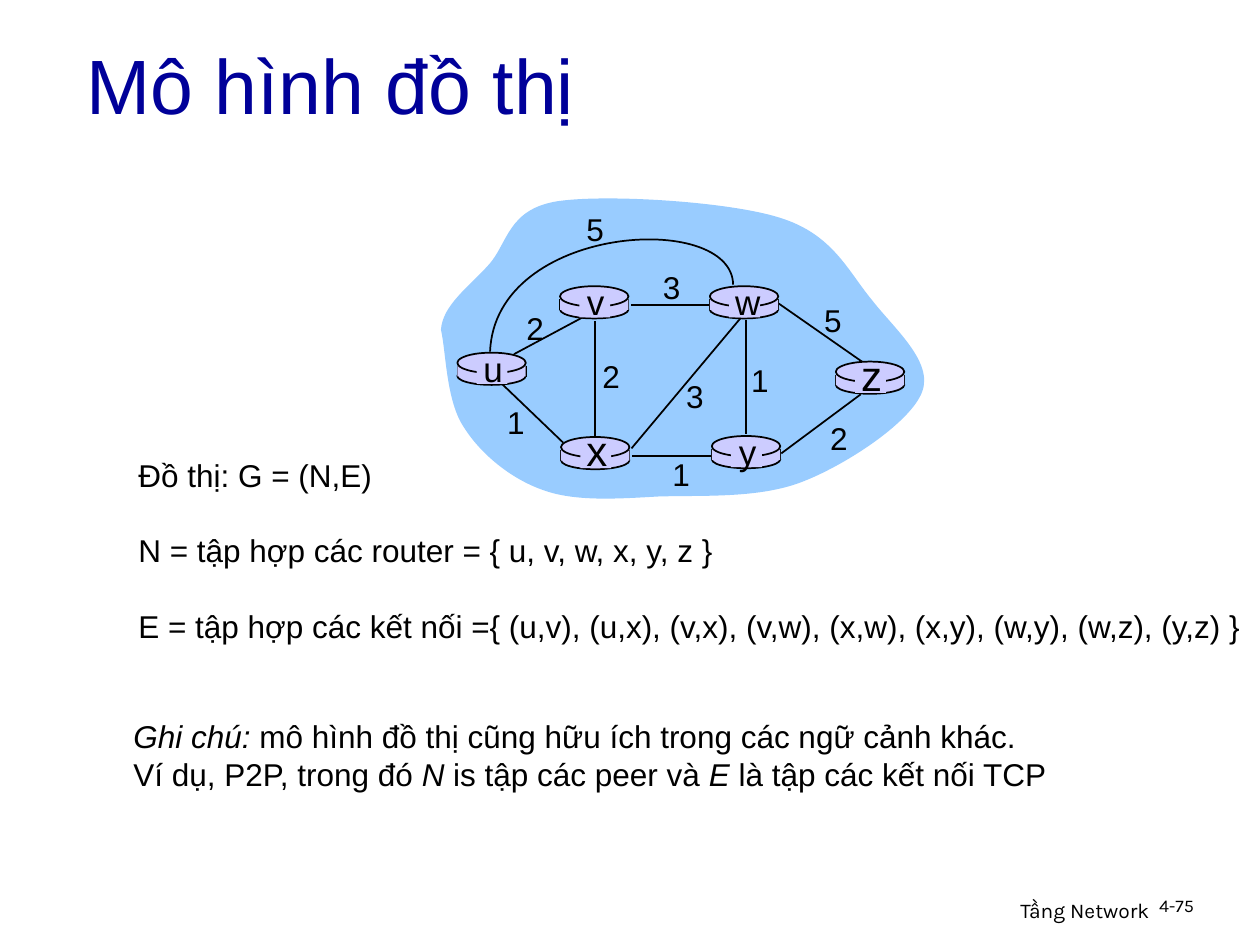
from pptx import Presentation
from pptx import util as u
from pptx.dml.color import RGBColor
from pptx.enum import shapes, text
from pptx.oxml.ns import qn
from lxml import etree

BLACK = RGBColor(0x00, 0x00, 0x00)
NAVY = RGBColor(0x00, 0x00, 0x99)
SKY = RGBColor(0x99, 0xCC, 0xFF)
LILAC = RGBColor(0xCC, 0xCC, 0xFF)
LEFT, MID, RIGHT = text.PP_ALIGN.LEFT, text.PP_ALIGN.CENTER, text.PP_ALIGN.RIGHT
OVAL, RECT = shapes.MSO_SHAPE.OVAL, shapes.MSO_SHAPE.RECTANGLE

CLOUD = [
    (8.89, 6.65), (8.92, 6.15), (9.47, 5.77), (9.86, 5.33),
    (10.24, 4.9), (10.24, 4.22), (11.23, 4.06),
    (12.19, 3.91), (14.68, 4.06), (15.72, 4.39),
    (16.79, 4.72), (17.09, 5.46), (17.58, 6.05),
    (18.03, 6.63), (18.82, 7.29), (18.59, 7.9),
    (18.36, 8.51), (17.09, 9.35), (16.21, 9.7),
    (15.32, 10.06), (14.15, 9.98), (13.26, 10.01),
    (12.4, 10.06), (11.58, 10.11), (10.95, 9.88),
    (10.29, 9.65), (9.68, 9.14), (9.35, 8.61),
    (8.99, 8.08), (8.99, 7.06), (8.89, 6.65),
]
ARC = [(14.78, 5.74), (14.76, 4.24), (9.98, 4.52), (9.88, 7.09)]
NODES = [
    ("u", 9.22, 7.11, 20), ("x", 11.31, 8.81, 24), ("v", 11.29, 5.77, 20),
    ("w", 14.31, 5.77, 20), ("y", 14.35, 8.79, 20), ("z", 16.85, 7.29, 24),
]
EDGES = [
    (10.36, 7.14, 11.89, 6.32), (15.04, 6.45, 15.04, 8.74),
    (11.99, 6.48, 11.99, 8.84), (12.73, 9.04, 14.94, 6.4),
    (15.75, 9.14, 17.35, 7.95), (14.35, 9.19, 12.75, 9.19),
    (11.35, 8.92, 10.13, 7.75), (14.33, 6.15, 12.73, 6.15),
    (17.42, 7.32, 15.7, 6.12),
]
COSTS = [
    ("2", 10.36, 6.1), ("2", 11.89, 7.07), ("1", 9.97, 8), ("3", 13.58, 7.47),
    ("1", 13.3, 9.04), ("1", 14.89, 7.15), ("2", 16.48, 8.32),
    ("5", 16.36, 5.94), ("3", 13.11, 5.28), ("5", 11.57, 4.1),
]
SETS = [
    [("Đồ thị: G = (N,E)", False)],
    [("N = tập hợp các router = { u, v, w, x, y, z }", False)],
    [("E = tập hợp các kết nối ={ (u,v), (u,x), (v,x), (v,w), (x,w), "
      "(x,y), (w,y), (w,z), (y,z) }", False)],
]
NOTE = [
    [("Ghi chú:", True),
     (" mô hình đồ thị cũng hữu ích trong các ngữ cảnh khác.", False)],
    [("Ví dụ, P2P, trong đó ", False), ("N", True),
     (" is tập các peer và ", False), ("E", True),
     (" là tập các kết nối TCP", False)],
]


class Deck:
    """Hold the style and the current slide."""

    def __init__(self, deck, font="Arial", size=18):
        self.slide = deck.slides.add_slide(deck.slide_layouts[5])
        self.items = self.slide.shapes
        self.font, self.size = font, size

    def run(self, para, words, size=None, color=BLACK, font=None, slant=False):
        run = para.add_run()
        run.text = words
        run.font.name = font or self.font
        run.font.size = u.Pt(size or self.size)
        run.font.color.rgb = color
        run.font.italic = slant

    def title(self, words, *box):
        head = self.items.title
        head.left, head.top, head.width, head.height = map(u.Cm, box)
        frame = head.text_frame
        frame.vertical_anchor = text.MSO_ANCHOR.MIDDLE
        frame.paragraphs[0].alignment = LEFT
        self.run(frame.paragraphs[0], words, 44, NAVY)

    def text(self, paras, *box, align=LEFT, gap=0, wrap=False, lead=None, **style):
        frame = self.items.add_textbox(*map(u.Cm, box)).text_frame
        frame.word_wrap = wrap
        for i, runs in enumerate(paras):
            para = frame.add_paragraph() if i else frame.paragraphs[0]
            para.alignment = align
            if lead:
                para.line_spacing = lead
            if i and gap:
                para.space_before = u.Pt(gap)
            for words, slant in runs:
                self.run(para, words, slant=slant, **style)

    def paint(self, item, fill=None, line=None):
        item.shadow.inherit = False
        if fill is None:
            item.fill.background()
        else:
            item.fill.solid()
            item.fill.fore_color.rgb = fill
        if line is None:
            item.line.fill.background()
        else:
            item.line.color.rgb = line
            item.line.width = u.Pt(1)

    def shape(self, kind, *box, line=None):
        self.paint(self.items.add_shape(kind, *map(u.Cm, box)), LILAC, line)

    def curve(self, pts, close=False, fill=None, line=None):
        spots = [(u.Cm(x), u.Cm(y)) for x, y in pts]
        pen = self.items.build_freeform(*spots[0])
        pen.add_line_segments(spots[1:], close=close)
        item = pen.convert_to_shape()
        legs = list(item._element.iter(qn("a:lnTo")))
        for i in range(0, len(legs), 3):
            bend = etree.Element(qn("a:cubicBezTo"))
            legs[i].addprevious(bend)
            for leg in legs[i:i + 3]:
                bend.append(leg[0])
                leg.getparent().remove(leg)
        self.paint(item, fill, line)

    def line(self, *ends):
        link = self.items.add_connector(shapes.MSO_CONNECTOR.STRAIGHT, *map(u.Cm, ends))
        link.line.color.rgb = BLACK
        link.line.width = u.Pt(1)
        etree.SubElement(link._element.spPr, qn("a:effectLst"))

    def disc(self, x, y):
        wide = 1.38
        self.shape(OVAL, x, y + 0.29, wide, 0.36, line=BLACK)
        for side in (x, x + wide):
            self.line(side, y + 0.26, side, y + 0.48)
        self.shape(RECT, x, y + 0.26, wide, 0.22)
        self.shape(OVAL, x, y, wide, 0.41, line=BLACK)

    def label(self, name, x, y, size):
        self.shape(RECT, x + 0.39, y + 0.05, 0.62, 0.58)
        rise, high = (0.37, 1.27) if size == 24 else (0.23, 1.12)
        self.text([[(name, False)]], x + 0.26, y - rise, 0.92, high, align=MID, size=size)


def main():
    deck = Presentation()
    deck.slide_width, deck.slide_height = u.Cm(25.4), u.Cm(19.05)
    page = Deck(deck)
    page.text([[("Tầng Network", False)]], 15.37, 17.96, 8.05, 0.79,
              align=RIGHT, wrap=True, size=12, font="Karla")
    page.text([[("4-75", False)]], 23.12, 17.96, 1.88, 0.76,
              wrap=True, lead=0.9, size=10.2, font="Karla")
    page.curve(CLOUD, close=True, fill=SKY)
    for ends in EDGES:
        page.line(*ends)
    for name, x, y, size in NODES:
        page.disc(x, y)
    page.curve(ARC, line=BLACK)
    for node in NODES:
        page.label(*node)
    for cost, x, y in COSTS:
        page.text([[(cost, False)]], x, y, 0.86, 1.02, align=MID)
    page.text(SETS, 2.54, 9.07, 22.94, 4.06, gap=21.4)
    page.title("Mô hình đồ thị", 1.49, 0.58, 21.59, 2.21)
    page.text(NOTE, 2.44, 14.33, 20.6, 1.78)
    deck.save("out.pptx")


if __name__ == "__main__":
    main()
